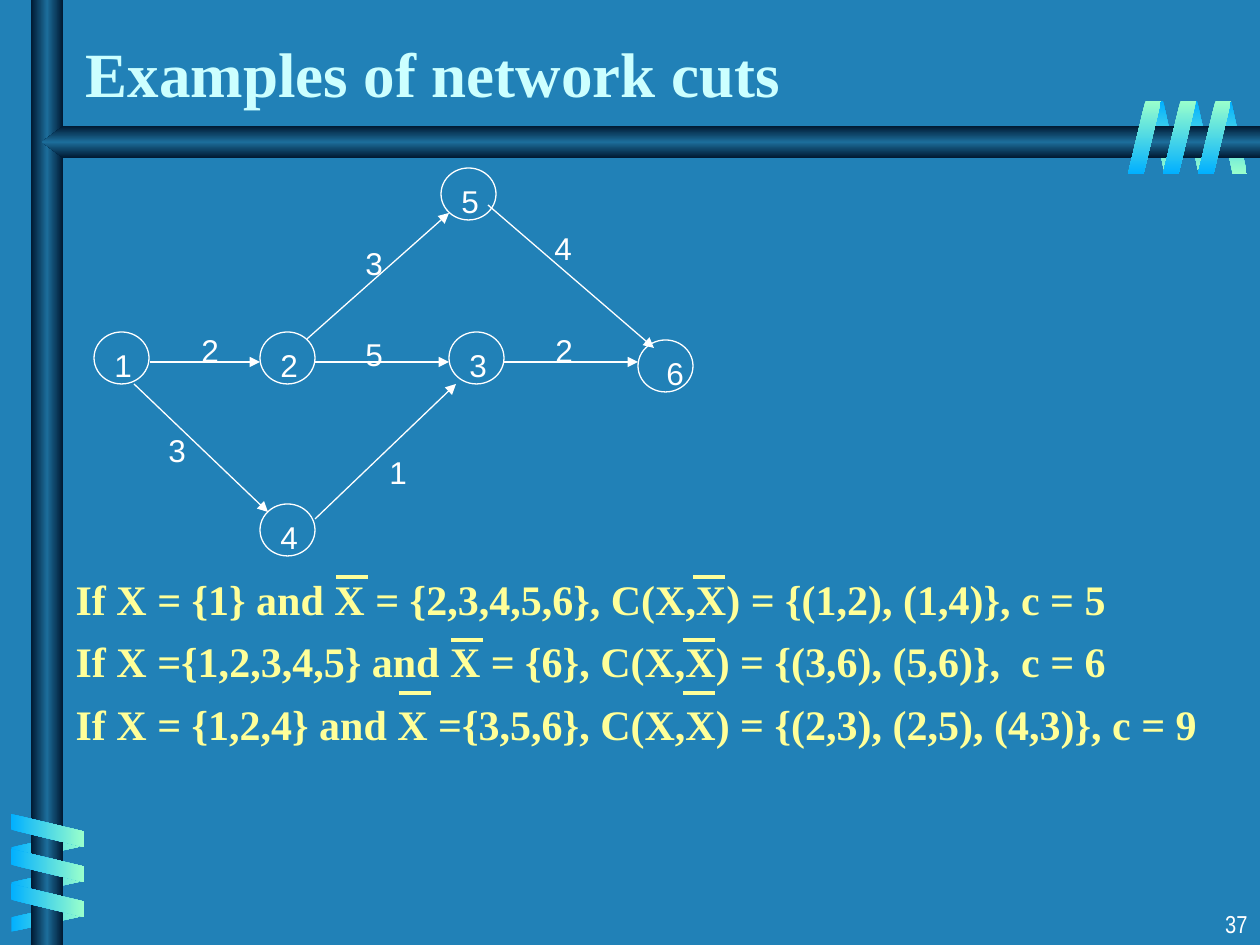
from dataclasses import dataclass

from lxml.etree import SubElement
from pptx import Presentation
from pptx.dml.color import RGBColor
from pptx.enum.shapes import MSO_CONNECTOR, MSO_SHAPE
from pptx.enum.text import MSO_ANCHOR, MSO_AUTO_SIZE, PP_ALIGN
from pptx.oxml import parse_xml
from pptx.oxml.ns import nsdecls, qn
from pptx.util import Emu, Pt

EMU_PER_PX = 914400 / 126
COLORS = {
    "background": "2181B7", "title": "CCFFFF", "body": "FFFF99", "graph": "FFFFFF",
    "bar_edge": "001932", "bar_middle": "1C6D9A", "blue": "01B0FF", "mint": "99FFCC",
}
BAR_STOPS = ["bar_edge", "bar_middle", "bar_edge"]
SERIF, SANS, NARROW = "Times New Roman", "Arial", "Arial Narrow"
NODE_WIDTH, NODE_HEIGHT = 55, 52


@dataclass
class Node:
    name: str
    left: int
    top: int
    label_shift: int = 8


@dataclass
class Edge:
    start: tuple[int, int]
    end: tuple[int, int]
    capacity: str
    label: tuple[int, int]


@dataclass
class Coil:
    """Three parallelograms, each one step further from the first."""
    left: int
    top: int
    width: int
    step: tuple[int, int]
    stops: list[str]
    rotation: int = 0
    mirrored: bool = False


BACK_COILS = [
    Coil(1217, 101, 30, (-34, 0), ["blue", "mint"], mirrored=True),
    Coil(33, 810, 30, (0, 35), ["blue", "mint"], 270, True),
]
FRONT_COILS = [
    Coil(31, 794, 33, (0, 35), ["blue", "mint"], 270),
    Coil(1198, 101, 33, (-35, 0), ["mint", "blue"]),
]
NODES = [
    Node("1", 94, 332), Node("2", 260, 332), Node("3", 449, 332),
    Node("4", 260, 504), Node("5", 441, 168), Node("6", 638, 340, 16),
]
EDGES = [
    Edge((134, 384), (268, 512), "3", (156, 425)),
    Edge((150, 362), (260, 362), "2", (189, 325)),
    Edge((307, 339), (449, 213), "3", (353, 238)),
    Edge((315, 362), (449, 362), "5", (353, 329)),
    Edge((315, 519), (456, 384), "1", (377, 447)),
    Edge((504, 362), (638, 362), "2", (543, 325)),
    Edge((488, 205), (654, 348), "4", (542, 223)),
]
CUTS = [
    "If X = {1} and X = {2,3,4,5,6}, C(X,X) = {(1,2), (1,4)}, c = 5",
    "If X ={1,2,3,4,5} and X = {6}, C(X,X) = {(3,6), (5,6)},  c = 6",
    "If X = {1,2,4} and X ={3,5,6}, C(X,X) = {(2,3), (2,5), (4,3)}, c = 9",
]
# Height of the complement bars of each line, then their left ends
OVERLINES = [(577, (336, 693)), (640, (451, 683)), (693, (399, 683))]


def px(value: float) -> Emu:
    return Emu(round(value * EMU_PER_PX))


def color(name: str) -> RGBColor:
    return RGBColor.from_string(COLORS[name])


def fill_gradient(shape, stops: list[str], angle: int) -> None:
    last = len(stops) - 1
    marks = "".join(
        f'<a:gs pos="{100000 * index // last}"><a:srgbClr val="{COLORS[name]}"/></a:gs>'
        for index, name in enumerate(stops))
    gradient = parse_xml(
        f'<a:gradFill {nsdecls("a")} rotWithShape="1"><a:gsLst>{marks}</a:gsLst>'
        f'<a:lin ang="{angle * 60000}" scaled="0"/></a:gradFill>')
    shape.fill.background()
    empty_fill = shape._element.spPr.find(qn("a:noFill"))
    empty_fill.getparent().replace(empty_fill, gradient)
    shape.line.fill.background()
    shape.shadow.inherit = False


def draw_coil(page, coil: Coil) -> None:
    for index in range(3):
        band = page.shapes.add_shape(
            MSO_SHAPE.PARALLELOGRAM,
            px(coil.left + index * coil.step[0]), px(coil.top + index * coil.step[1]),
            px(coil.width), px(73))
        band.adjustments[0] = 0.53
        band.rotation = coil.rotation
        if coil.mirrored:
            band._element.spPr.find(qn("a:xfrm")).set("flipH", "1")
        fill_gradient(band, coil.stops, 90)


def draw_bars(page) -> None:
    post = page.shapes.add_shape(MSO_SHAPE.RECTANGLE, px(31), 0, px(32), px(945))
    fill_gradient(post, BAR_STOPS, 0)
    builder = page.shapes.build_freeform(px(1260), px(126))
    corners = [(63, 126), (42, 142), (63, 158), (1260, 158)]
    builder.add_line_segments([(px(x), px(y)) for x, y in corners], close=True)
    fill_gradient(builder.convert_to_shape(), BAR_STOPS, 90)


def format_text(paragraph, size: int, font: str, color_name: str, bold: bool = False) -> None:
    for span in paragraph.runs:
        span.font.size = Pt(size)
        span.font.name = font
        span.font.bold = bold
        span.font.color.rgb = color(color_name)


def draw_label(page, text: str, left: int, top: int) -> None:
    box = page.shapes.add_textbox(px(left), px(top), px(43), px(50))
    box.text_frame.word_wrap = False
    box.text_frame.text = text
    format_text(box.text_frame.paragraphs[0], 18, SANS, "graph")


def draw_line(page, start: tuple[int, int], end: tuple[int, int],
              color_name: str, width: float, arrow: bool = False) -> None:
    line = page.shapes.add_connector(
        MSO_CONNECTOR.STRAIGHT, px(start[0]), px(start[1]), px(end[0]), px(end[1]))
    line.line.color.rgb = color(color_name)
    line.line.width = Pt(width)
    if arrow:
        SubElement(line.line._get_or_add_ln(), qn("a:tailEnd"), type="triangle")
    SubElement(line._element.spPr, qn("a:effectLst"))


def draw_graph(page) -> None:
    for node in NODES:
        circle = page.shapes.add_shape(
            MSO_SHAPE.OVAL, px(node.left), px(node.top), px(NODE_WIDTH), px(NODE_HEIGHT))
        circle.fill.background()
        circle.line.color.rgb = color("graph")
        circle.line.width = Pt(0.75)
        circle.shadow.inherit = False
    for edge in EDGES:
        draw_line(page, edge.start, edge.end, "graph", 0.75, arrow=True)
    for node in NODES:
        draw_label(page, node.name, node.left + node.label_shift, node.top + 8)
    for edge in EDGES:
        draw_label(page, edge.capacity, *edge.label)


def place(shape, left: int, top: int, width: int, height: int) -> None:
    shape.left, shape.top, shape.width, shape.height = map(px, (left, top, width, height))
    shape.text_frame.auto_size = MSO_AUTO_SIZE.NONE


def write_text(page) -> None:
    title, body = page.shapes.title, page.placeholders[1]
    place(title, 73, 21, 1018, 95)
    title.text_frame.vertical_anchor = MSO_ANCHOR.BOTTOM
    title.text_frame.text = "Examples of network cuts"
    title.text_frame.paragraphs[0].alignment = PP_ALIGN.LEFT
    format_text(title.text_frame.paragraphs[0], 36, SERIF, "title", bold=True)

    place(body, 63, 567, 1176, 418)
    body.text_frame.text = "\n".join(CUTS)
    for index, paragraph in enumerate(body.text_frame.paragraphs):
        properties = paragraph._p.get_or_add_pPr()
        properties.set("marL", str(px(48)))
        properties.set("indent", str(px(-48)))
        SubElement(properties, qn("a:buNone"))
        paragraph.space_before = Pt(7 if index else 0)
        format_text(paragraph, 24, SERIF, "body", bold=True)


def write_page_number(page) -> None:
    box = page.shapes.add_textbox(px(998), px(903), px(262), px(42))
    box.text_frame.word_wrap = True
    box.text_frame.text = "37"
    box.text_frame.paragraphs[0].alignment = PP_ALIGN.RIGHT
    format_text(box.text_frame.paragraphs[0], 14, NARROW, "graph")


def main() -> None:
    deck = Presentation()
    deck.slide_width, deck.slide_height = px(1260), px(945)
    page = deck.slides.add_slide(deck.slide_layouts[1])
    page.background.fill.solid()
    page.background.fill.fore_color.rgb = color("background")

    # Frame: the coils wind around the bars
    for coil in BACK_COILS:
        draw_coil(page, coil)
    draw_bars(page)
    for coil in FRONT_COILS:
        draw_coil(page, coil)

    # Content
    write_text(page)
    draw_graph(page)
    for top, lefts in OVERLINES:
        for left in lefts:
            draw_line(page, (left, top), (left + 32, top), "body", 2.25)
    write_page_number(page)
    deck.save("out.pptx")


if __name__ == "__main__":
    main()
